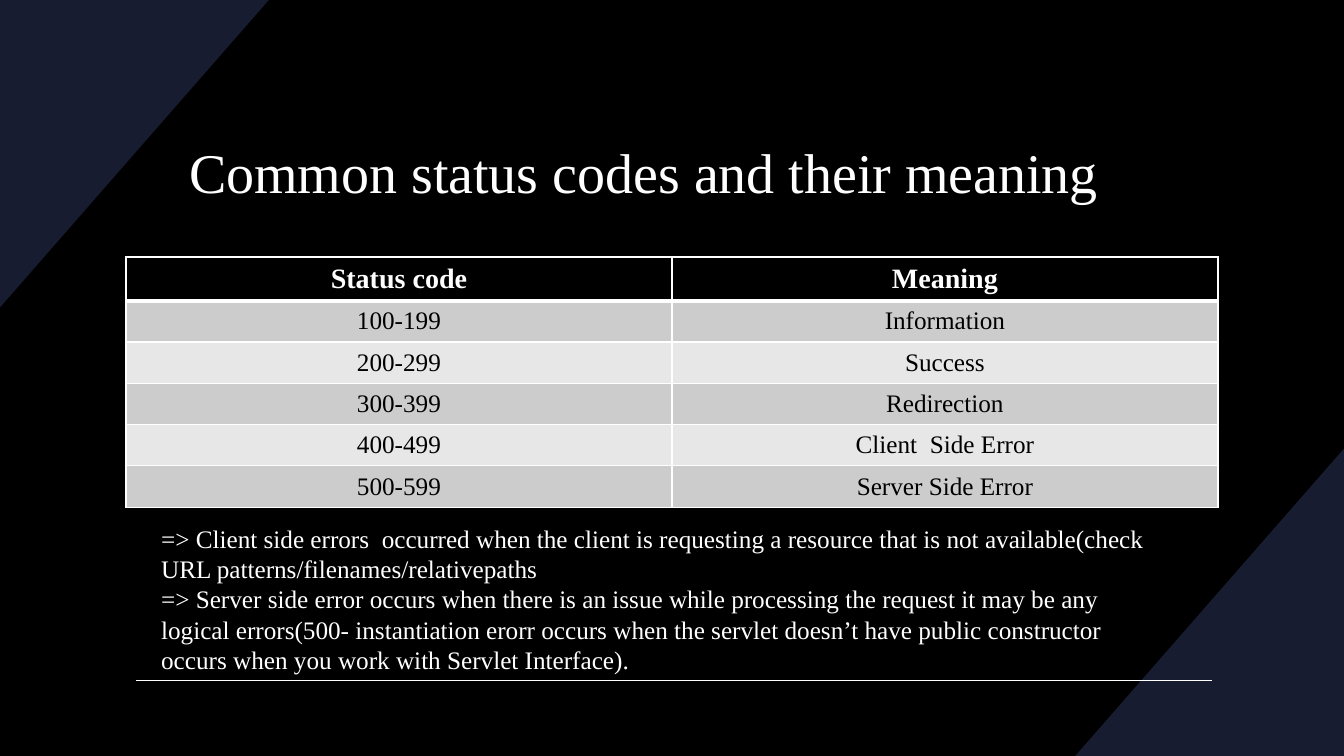
from lxml.etree import SubElement
from pptx import Presentation
from pptx.dml.color import RGBColor
from pptx.enum.shapes import MSO_CONNECTOR
from pptx.enum.text import MSO_ANCHOR, PP_ALIGN
from pptx.oxml.ns import qn
from pptx.util import Inches, Pt

COLORS = {"ground": "000000", "corner": "181C30", "light": "FFFFFF",
          "dark": "000000", "odd": "CCCCCC", "even": "E7E7E7"}
FORMATS = {
    "title": {"name": "Times New Roman", "size": Pt(40), "bold": False},
    "header": {"name": "Times New Roman", "size": Pt(20), "bold": True},
    "body": {"name": "Times New Roman", "size": Pt(18), "bold": False},
}
STATUS_CODES = [
    ("Status code", "Meaning"),
    ("100-199", "Information"),
    ("200-299", "Success"),
    ("300-399", "Redirection"),
    ("400-499", "Client  Side Error"),
    ("500-599", "Server Side Error"),
]
EXPLANATIONS = [
    "=> Client side errors  occurred when the client is requesting a resource that is "
    "not available(check URL patterns/filenames/relativepaths",
    "=> Server side error occurs when there is an issue while processing the request it "
    "may be any logical errors(500- instantiation erorr occurs when the servlet doesn’t "
    "have public constructor occurs when you work with Servlet Interface).",
]


class Deck:
    """Draws styled elements on a slide divided into 16 columns and 9 rows."""

    def __init__(self):
        self.presentation = Presentation()
        self.presentation.slide_width = Inches(13.33)
        self.presentation.slide_height = Inches(7.5)
        self.column = self.presentation.slide_width / 16
        self.row = self.presentation.slide_height / 9
        self.slide = self.presentation.slides.add_slide(self.presentation.slide_layouts[6])
        self.paint(self.slide.background.fill, "ground")

    def paint(self, fill, color):
        fill.solid()
        fill.fore_color.rgb = RGBColor.from_string(COLORS[color])

    def place(self, column, row):
        return round(column * self.column), round(row * self.row)

    def fill_text(self, frame, paragraphs, style, color, align):
        for index, wording in enumerate(paragraphs):
            paragraph = frame.add_paragraph() if index else frame.paragraphs[0]
            paragraph.alignment = align
            run = paragraph.add_run()
            run.text = wording
            for key, value in FORMATS[style].items():
                setattr(run.font, key, value)
            run.font.color.rgb = RGBColor.from_string(COLORS[color])

    def triangle(self, *corners):
        start, *others = [self.place(*corner) for corner in corners]
        builder = self.slide.shapes.build_freeform(*start)
        builder.add_line_segments(others, close=True)
        corner_area = builder.convert_to_shape()
        corner_area.shadow.inherit = False
        self.paint(corner_area.fill, "corner")
        corner_area.line.fill.background()

    def rule(self, start, end):
        divider = self.slide.shapes.add_connector(
            MSO_CONNECTOR.STRAIGHT, *self.place(*start), *self.place(*end))
        divider.line.width = Pt(1)
        self.paint(divider.line.fill, "light")
        SubElement(divider._element.spPr, qn("a:effectLst"))

    def text(self, corner, size, paragraphs, style, align=PP_ALIGN.LEFT, **layout):
        box = self.slide.shapes.add_textbox(*self.place(*corner), *self.place(*size))
        frame = box.text_frame
        for key, value in {"word_wrap": True, **layout}.items():
            setattr(frame, key, value)
        self.fill_text(frame, paragraphs, style, "light", align)

    def borders(self, cell, widths):
        properties = cell._tc.get_or_add_tcPr()
        for side, width in widths.items():
            edge = SubElement(properties, qn(f"a:ln{side}"), w=str(Pt(width)))
            fill = SubElement(edge, qn("a:solidFill"))
            SubElement(fill, qn("a:srgbClr"), val=COLORS["light"])

    def table(self, corner, size, records):
        grid = self.slide.shapes.add_table(
            len(records), len(records[0]), *self.place(*corner), *self.place(*size)).table
        for row, record in enumerate(records):
            style, color = ("body", "dark") if row else ("header", "light")
            shade = ("even", "odd")[row % 2] if row else "dark"
            widths = {"L": 1, "R": 1, "T": 3 if row == 1 else 1, "B": 1 if row else 3}
            for column, wording in enumerate(record):
                cell = grid.cell(row, column)
                cell.vertical_anchor = MSO_ANCHOR.MIDDLE
                self.borders(cell, widths)
                self.paint(cell.fill, shade)
                self.fill_text(cell.text_frame, [wording], style, color, PP_ALIGN.CENTER)


def main():
    deck = Deck()
    deck.triangle((16, 5.34), (16, 9), (12.8, 9))
    deck.triangle((0, 3.66), (0, 0), (3.2, 0))
    deck.rule((1.62, 8.1), (14.43, 8.1))
    deck.text((1.5, 1.14), (13, 1.79), ["Common status codes and their meaning"], "title",
              PP_ALIGN.CENTER, vertical_anchor=MSO_ANCHOR.MIDDLE, margin_right=Inches(0.66))
    deck.table((1.5, 3.06), (13, 2.95), STATUS_CODES)
    deck.text((1.8, 6.17), (12.03, 1.94), EXPLANATIONS, "body")
    deck.presentation.save("out.pptx")


if __name__ == "__main__":
    main()
